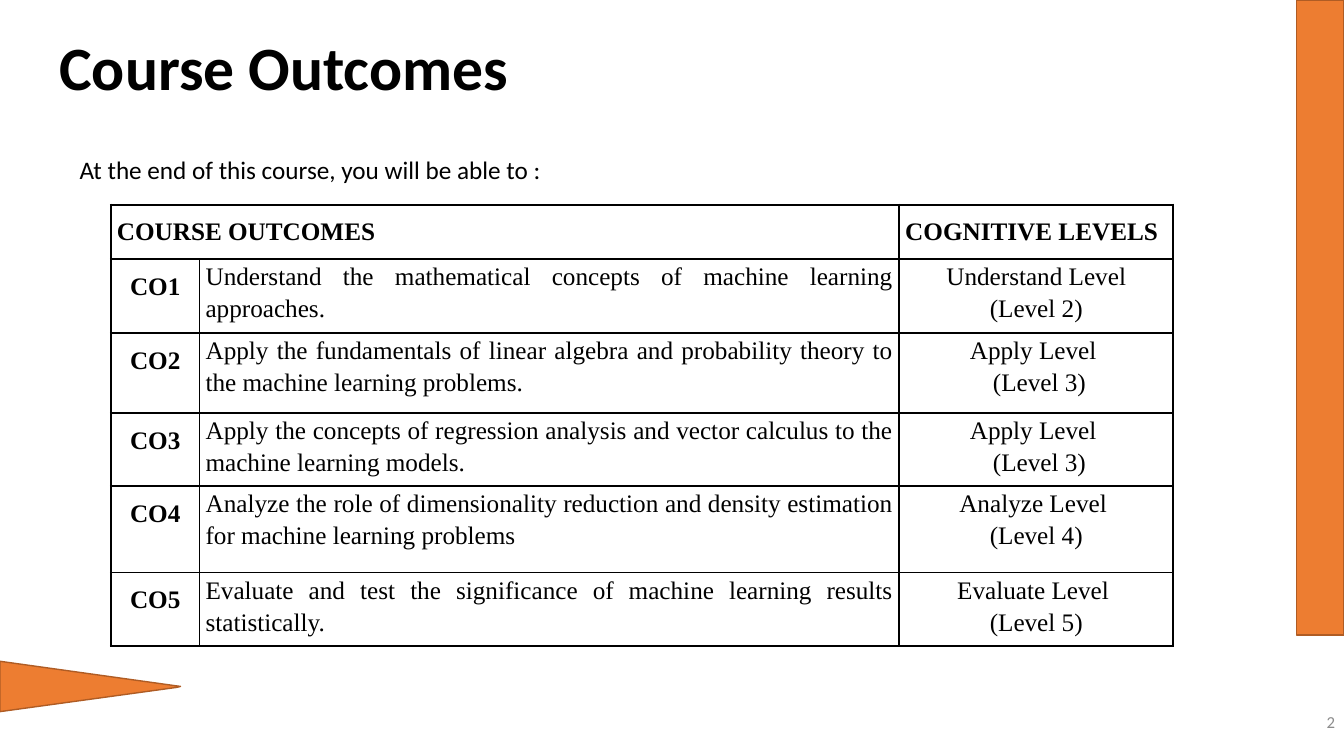
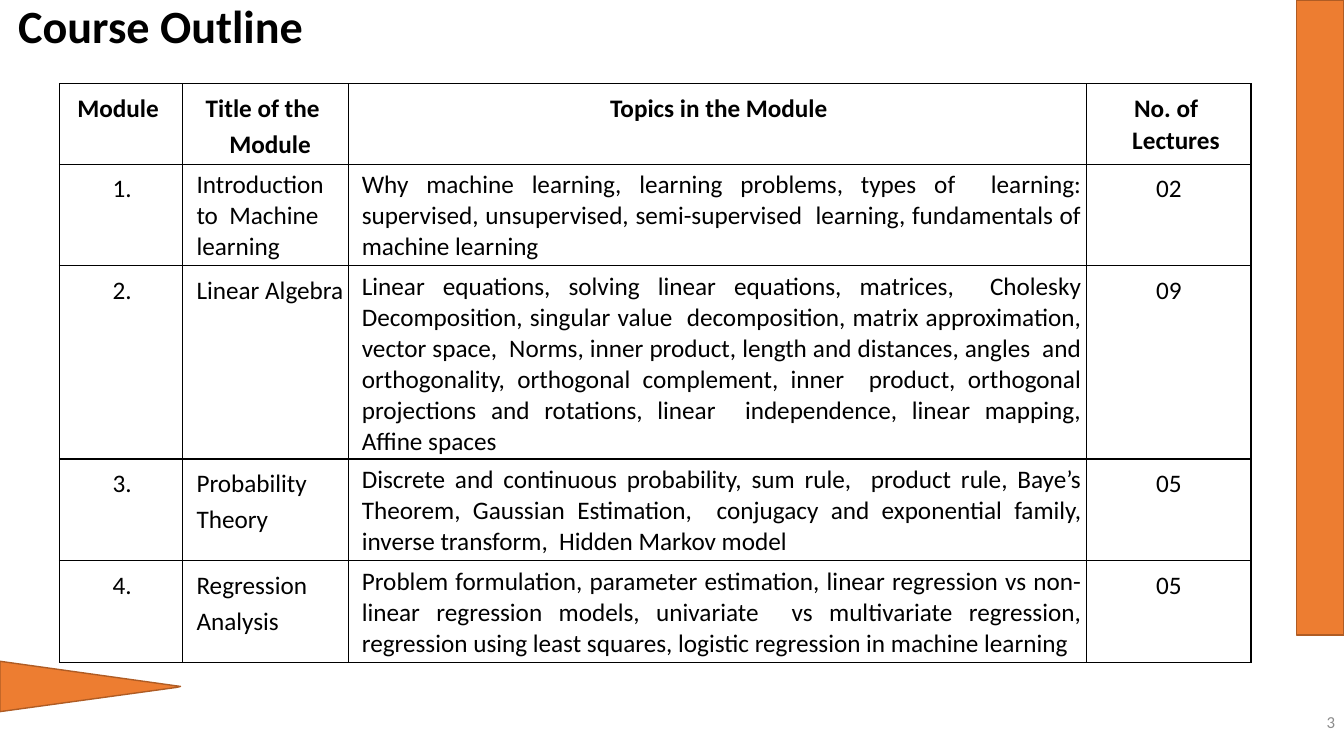
from dataclasses import dataclass
from typing import Optional

from lxml import etree
from pptx import Presentation
from pptx import util as u
from pptx.dml.color import RGBColor
from pptx.enum import shapes, text
from pptx.oxml import ns

LEFT, CENTER, RIGHT, JUSTIFY = (
    text.PP_ALIGN.LEFT,
    text.PP_ALIGN.CENTER,
    text.PP_ALIGN.RIGHT,
    text.PP_ALIGN.JUSTIFY,
)
TOP, MIDDLE = text.MSO_ANCHOR.TOP, text.MSO_ANCHOR.MIDDLE


@dataclass(frozen=True)
class Theme:
    ink: str = "000000"
    accent: str = "ED7D31"
    edge: str = "AF5C24"
    muted: str = "8C8C8C"
    sans: str = "Calibri"
    serif: str = "Times New Roman"
    title: int = 44
    small_title: int = 33
    body: int = 18
    footer: int = 12


@dataclass(frozen=True)
class Look:
    align: int = LEFT
    spacing: float = 1.0
    bold: bool = False
    indent: float = 0
    before: float = 0
    anchor: int = TOP
    then: Optional["Look"] = None


class Deck:
    def __init__(self, theme):
        self.theme = theme
        self.prs = Presentation()
        self.prs.slide_width = u.Inches(13.33)
        self.prs.slide_height = u.Inches(7.5)
        self.s = None

    def x(self, percent):
        return round(self.prs.slide_width * percent / 100)

    def y(self, percent):
        return round(self.prs.slide_height * percent / 100)

    def box(self, x, y, w, h):
        return self.x(x), self.y(y), self.x(w), self.y(h)

    def slide(self, number):
        self.s = self.prs.slides.add_slide(self.prs.slide_layouts[6])
        wedge = [(0, 87.47), (13.43, 90.8), (13.13, 90.93), (0, 94.13)]
        points = [(self.x(x), self.y(y)) for x, y in wedge]
        outline = self.s.shapes.build_freeform(*points[0])
        outline.add_line_segments(points[1:], close=True)
        self.paint(outline.convert_to_shape())
        bar = self.box(96.47, 0, 3.53, 84)
        self.paint(self.s.shapes.add_shape(shapes.MSO_SHAPE.RECTANGLE, *bar))
        self.label(str(number), (95.27, 92.8, 4.8, 5.33), self.theme.footer,
                   Look(RIGHT, anchor=MIDDLE), color=self.theme.muted)

    def paint(self, sp):
        sp.shadow.inherit = False
        sp.fill.solid()
        sp.fill.fore_color.rgb = RGBColor.from_string(self.theme.accent)
        sp.line.color.rgb = RGBColor.from_string(self.theme.edge)
        sp.line.width = u.Pt(1)

    def add_text(self, tf, words, look, size, font, color):
        for i, line in enumerate(words.split("\n")):
            p = tf.add_paragraph() if i else tf.paragraphs[0]
            if i and look.then:
                look = look.then
            p.alignment = look.align
            p.line_spacing = look.spacing
            if i:
                p.space_before = u.Pt(look.before)
            if look.indent:
                p._p.get_or_add_pPr().set("marL", str(u.Inches(look.indent)))
            r = p.add_run()
            r.text = line
            r.font.name = font
            r.font.size = u.Pt(size)
            r.font.bold = look.bold
            r.font.color.rgb = RGBColor.from_string(color)

    def label(self, words, area, size, look, color=None, wrap=True, inset=(0.1, 0.05)):
        tf = self.s.shapes.add_textbox(*self.box(*area)).text_frame
        tf.word_wrap = wrap
        tf.vertical_anchor = look.anchor
        tf.margin_left = tf.margin_right = u.Inches(inset[0])
        tf.margin_top = tf.margin_bottom = u.Inches(inset[1])
        self.add_text(tf, words, look, size, self.theme.sans, color or self.theme.ink)

    def border(self, cell, width):
        tcPr = cell._tc.get_or_add_tcPr()
        for i, side in enumerate(("lnL", "lnR", "lnT", "lnB")):
            ln = etree.Element(ns.qn("a:" + side), w=str(u.Pt(width)))
            fill = etree.SubElement(ln, ns.qn("a:solidFill"))
            etree.SubElement(fill, ns.qn("a:srgbClr"), val=self.theme.ink)
            tcPr.insert(i, ln)

    def table(self, at, cols, rows, cells, heads, looks, font, line, inset):
        area = self.box(*at, sum(cols), sum(rows))
        tbl = self.s.shapes.add_table(len(rows), len(cols), *area).table
        tbl.first_row = tbl.horz_banding = False
        for col, w in zip(tbl.columns, cols):
            col.width = self.x(w)
        for row, h in zip(tbl.rows, rows):
            row.height = self.y(h)
        for i, row in enumerate(cells):
            for j, entry in enumerate(row):
                cell = tbl.cell(i, j)
                cell.fill.background()
                self.border(cell, line)
                if entry is None:
                    tbl.cell(i, j - 1).merge(cell)
                    continue
                look = looks[j] if i else heads[j]
                if isinstance(entry, tuple):
                    entry, look = entry
                cell.margin_left = cell.margin_right = u.Inches(inset[0])
                cell.margin_top = cell.margin_bottom = u.Inches(inset[1])
                cell.vertical_anchor = look.anchor
                self.add_text(cell.text_frame, entry, look, self.theme.body, font,
                              self.theme.ink)


def outcomes(deck):
    t = deck.theme
    deck.slide(2)
    deck.label("Course Outcomes", (3.68, 6.67, 59.1, 5.2), t.title,
               Look(spacing=0.9, bold=True, anchor=MIDDLE))
    head = Look(bold=True, anchor=MIDDLE)
    deck.table(
        (8.25, 27.07), (6.6, 52.06, 20.4), (7.2, 9.73, 10.67, 9.6, 11.47, 9.73),
        [
            ("COURSE OUTCOMES", None, "COGNITIVE LEVELS"),
            ("CO1", "Understand the mathematical concepts of machine learning approaches.",
             "Understand Level\n(Level 2)"),
            ("CO2", "Apply the fundamentals of linear algebra and probability theory to "
             "the machine learning problems.", "Apply Level \n (Level 3)"),
            ("CO3", "Apply the concepts of regression analysis and vector calculus to the "
             "machine learning models.", "Apply Level \n (Level 3)"),
            ("CO4", "Analyze the role of dimensionality reduction and density estimation "
             "for machine learning problems", "Analyze Level \n(Level 4)"),
            ("CO5", "Evaluate and test the significance of machine learning results "
             "statistically.", "Evaluate Level \n(Level 5)"),
        ],
        (head, head, head),
        (Look(CENTER, 1.5, bold=True), Look(JUSTIFY, 1.15), Look(CENTER, 1.15)),
        t.serif, 1.5, (0.06, 0))
    deck.label("At the end of this course, you will be able to :",
               (5.18, 19.73, 36.68, 5.33), t.body, Look(), wrap=False)


def outline(deck):
    t = deck.theme
    deck.slide(3)
    deck.label("Course Outline", (0.83, 0, 59.1, 5.07), t.small_title,
               Look(spacing=0.9, bold=True), inset=(0.07, 0.04))
    head = Look(CENTER, 1.15, bold=True)
    second = Look(CENTER, 1.15, bold=True, indent=0.09, before=0.6)
    lectures = Look(CENTER, 1.01, bold=True, indent=0.14, before=0.6)
    name = Look(LEFT, 1.15, indent=0.09, before=0.6)
    deck.table(
        (4.42, 11.07), (9.15, 12.38, 54.91, 12.23), (10.53, 13.37, 25.4, 13.33, 13.33),
        [
            ("Module ", "Title of the \nModule", "Topics in the Module ", "No. of \nLectures"),
            ("1. ", ("Introduction to  Machine learning", Look(LEFT, 1.01, indent=0.09)),
             "Why machine learning, learning problems, types of  learning: supervised, "
             "unsupervised, semi-supervised  learning, fundamentals of machine learning", "02"),
            ("2. ", "Linear Algebra",
             "Linear equations, solving linear equations, matrices,  Cholesky Decomposition, "
             "singular value  decomposition, matrix approximation, vector space,  Norms, "
             "inner product, length and distances, angles  and orthogonality, orthogonal "
             "complement, inner  product, orthogonal projections and rotations, linear  "
             "independence, linear mapping, Affine spaces", "09"),
            ("3. ", "Probability\nTheory",
             "Discrete and continuous probability, sum rule,  product rule, Baye’s Theorem, "
             "Gaussian Estimation,  conjugacy and exponential family, inverse transform,  "
             "Hidden Markov model", "05"),
            ("4. ", "Regression\nAnalysis",
             "Problem formulation, parameter estimation, linear regression vs non-linear "
             "regression models, univariate  vs multivariate regression, regression using "
             "least squares, logistic regression in machine learning", "05"),
        ],
        (head, Look(CENTER, 1.15, bold=True, then=second),
         Look(CENTER, 1.15, bold=True, indent=0.08),
         Look(CENTER, 1.15, bold=True, then=lectures)),
        (Look(CENTER, 1.15, indent=0.08), name, Look(JUSTIFY, 1.01, indent=0.08),
         Look(CENTER, 1.15)),
        t.sans, 1, (0.05, 0.05))


def main():
    deck = Deck(Theme())
    outcomes(deck)
    outline(deck)
    deck.prs.save("out.pptx")


if __name__ == "__main__":
    main()
